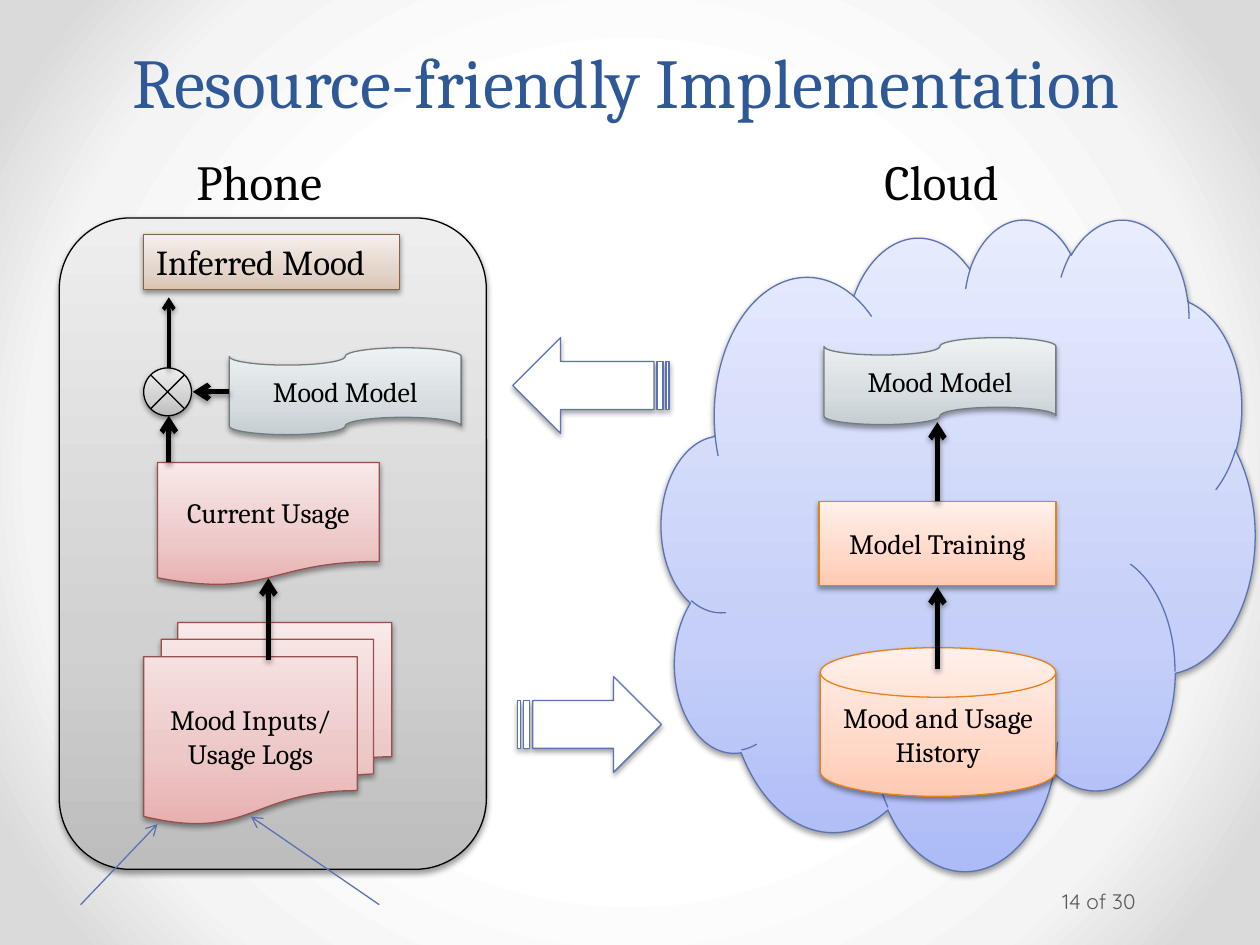
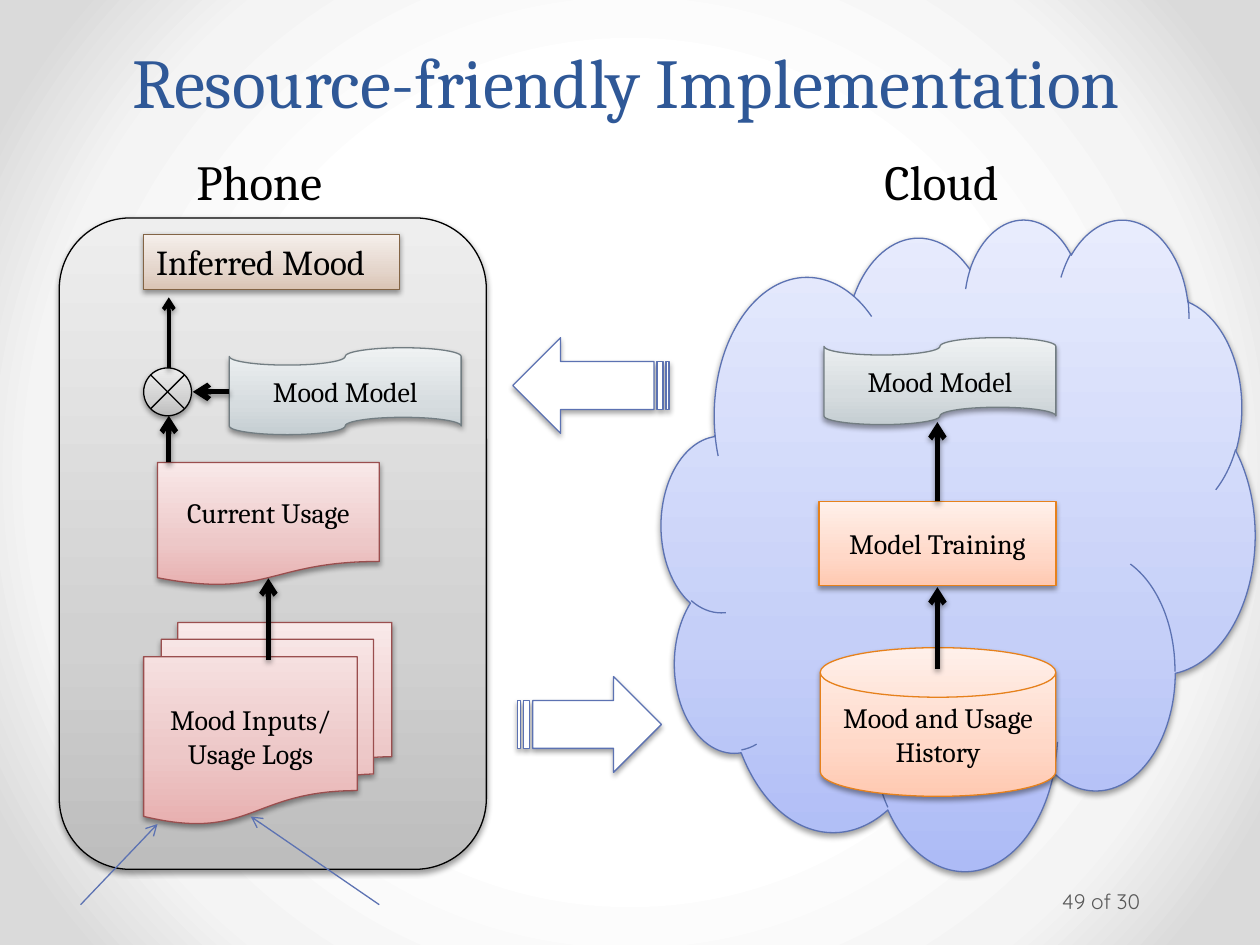
from lxml import etree
from pptx import Presentation
from pptx.dml.color import RGBColor
from pptx.enum.shapes import MSO_CONNECTOR, MSO_SHAPE
from pptx.enum.text import MSO_ANCHOR, MSO_AUTO_SIZE, PP_ALIGN
from pptx.oxml.ns import qn
from pptx.util import Inches, Pt

LEFT, CENTER = PP_ALIGN.LEFT, PP_ALIGN.CENTER
TOP, MIDDLE, BOTTOM = MSO_ANCHOR.TOP, MSO_ANCHOR.MIDDLE, MSO_ANCHOR.BOTTOM

BODY_FONT, NUMBER_FONT = "Cambria", "Quicksand"
COLORS = {
    "black": "000000",
    "white": "FFFFFF",
    "title": "2F5897",
    "number": "595959",
    "blue": "5C72B2",
}
# Each theme: outline colour, then gradient colours from bottom to top
THEMES = {
    "cloud": ("5C72B2", "ADBBF6", "C5CFF8", "E8ECFD"),
    "phone": ("000000", "BDBDBD", "D1D1D1", "EEEEEE"),
    "usage": ("9A4E4E", "E8B0B0", "EDC8C8", "F9E9E9"),
    "training": ("E6811C", "FFC9B1", "FFD8C8", "FFF0EA"),
    "model": ("727D82", "C5CED2", "D6DCDF", "EFF2F3"),
    "mood": ("836445", "DAC4B4", "E4D5CB", "F5EFEB"),
}
THEME_STOPS = (0, 35, 100)
BACKDROP = [(50, "FFFFFF"), (76, "F4F4F4"), (92, "DADADA")]

TITLE = "Resource-friendly Implementation"
PAGE_NUMBERS = ["14 of 30", "49 of 30"]
HEADINGS = [("Phone", 1.46, 1.28), ("Cloud", 6.92, 1.16)]

# Preset, theme, (left, top, width, height), text
NODES = [
    (MSO_SHAPE.CLOUD, "cloud", (5.25, 1.73, 4.71, 5.17), ""),
    (MSO_SHAPE.ROUNDED_RECTANGLE, "phone", (0.47, 1.73, 3.39, 5.17), ""),
    (MSO_SHAPE.FLOWCHART_MULTIDOCUMENT, "usage", (1.14, 4.94, 1.97, 1.6),
     "Mood Inputs/\nUsage Logs"),
    (MSO_SHAPE.FLOWCHART_MAGNETIC_DISK, "training", (6.51, 5.14, 1.87, 1.18),
     "Mood and Usage History"),
    (MSO_SHAPE.FLOWCHART_PUNCHED_TAPE, "model", (6.54, 2.68, 1.84, 0.69), "Mood Model"),
    (MSO_SHAPE.FLOWCHART_PUNCHED_TAPE, "model", (1.82, 2.76, 1.84, 0.69), "Mood Model"),
    (MSO_SHAPE.FLOWCHART_SUMMING_JUNCTION, "phone", (1.14, 2.92, 0.38, 0.38), ""),
    (MSO_SHAPE.FLOWCHART_DOCUMENT, "usage", (1.25, 3.67, 1.76, 0.98), "Current Usage"),
    (MSO_SHAPE.FLOWCHART_PROCESS, "training", (6.5, 3.98, 1.88, 0.67), "Model Training"),
]
INFERRED_MOOD = ("Inferred Mood", (1.14, 1.86, 2.03, 0.44))

# (left, top, width, height), points left
TRANSFERS = [((4.11, 5.37, 1.14, 0.76), False), ((4.07, 2.68, 1.24, 0.76), True)]

# Start, end, width in points
FLOWS = [
    ((2.13, 5.24), (2.13, 4.59), 3),
    ((1.34, 3.67), (1.34, 3.3), 3),
    ((1.82, 3.11), (1.53, 3.11), 3),
    ((7.44, 5.31), (7.44, 4.66), 3),
    ((7.44, 3.98), (7.44, 3.35), 3),
    ((1.34, 2.92), (1.34, 2.36), 2.25),
]
POINTERS = [((0.64, 7.18), (1.25, 6.54)), ((3.01, 7.18), (1.99, 6.48))]


def add_xml(parent, tag, **attributes):
    values = {name: str(value) for name, value in attributes.items()}
    return etree.SubElement(parent, qn(tag), values)


def set_gradient(fill, properties, stops, radial=False):
    """Give the fill held in properties a list of (percent, colour) stops."""
    fill.gradient()
    gradient = properties.find(qn("a:gradFill"))
    for child in list(gradient):
        gradient.remove(child)
    stop_list = add_xml(gradient, "a:gsLst")
    for percent, color in stops:
        stop = add_xml(stop_list, "a:gs", pos=percent * 1000)
        add_xml(stop, "a:srgbClr", val=color)
    if radial:
        shade = add_xml(gradient, "a:path", path="circle")
        add_xml(shade, "a:fillToRect", l=50000, t=50000, r=50000, b=50000)
    else:
        add_xml(gradient, "a:lin", ang=270 * 60000, scaled=0)


def add_shadow(effects, alpha=38, distance=1.6):
    shadow = add_xml(effects, "a:outerShdw", blurRad=Pt(3.1), dist=Pt(distance),
                     dir=90 * 60000, rotWithShape=0)
    color = add_xml(shadow, "a:srgbClr", val=COLORS["black"])
    add_xml(color, "a:alpha", val=alpha * 1000)


def write(shape, text, size=16, color="black", font=BODY_FONT, align=CENTER,
          anchor=MIDDLE, wrap=True, grow=False, spacing=None):
    frame = shape.text_frame
    frame.text = text
    frame.word_wrap = wrap
    frame.auto_size = MSO_AUTO_SIZE.SHAPE_TO_FIT_TEXT if grow else MSO_AUTO_SIZE.NONE
    frame.vertical_anchor = anchor
    for para in frame.paragraphs:
        para.alignment = align
        if spacing:
            para.line_spacing = Pt(spacing)
        for span in para.runs:
            span.font.size = Pt(size)
            span.font.name = font
            span.font.color.rgb = RGBColor.from_string(COLORS[color])


def add_shape(page, preset, bounds, outline):
    shape = page.shapes.add_shape(preset, *map(Inches, bounds))
    shape.line.color.rgb = RGBColor.from_string(outline)
    shape.line.width = Pt(0.75)
    shape.shadow.inherit = False
    return shape


def add_node(page, preset, theme, bounds):
    outline, *shades = THEMES[theme]
    shape = add_shape(page, preset, bounds, outline)
    properties = shape.element.spPr
    set_gradient(shape.fill, properties, zip(THEME_STOPS, shades))
    add_shadow(properties.find(qn("a:effectLst")))
    return shape


def add_transfer(page, bounds, points_left):
    """Add a striped block arrow between phone and cloud."""
    shape = add_shape(page, MSO_SHAPE.STRIPED_RIGHT_ARROW, bounds, COLORS["blue"])
    shape.fill.solid()
    shape.fill.fore_color.rgb = RGBColor.from_string(COLORS["white"])
    properties = shape.element.spPr
    add_shadow(properties.find(qn("a:effectLst")), alpha=35, distance=1.8)
    if points_left:
        properties.find(qn("a:xfrm")).set("flipH", "1")


def add_arrow(page, start, end, width=0.75, color="black", shadow=True):
    arrow = page.shapes.add_connector(MSO_CONNECTOR.STRAIGHT, *map(Inches, start + end))
    arrow.line.color.rgb = RGBColor.from_string(COLORS[color])
    arrow.line.width = Pt(width)
    properties = arrow.element.spPr
    add_xml(properties.find(qn("a:ln")), "a:tailEnd", type="arrow")
    effects = add_xml(properties, "a:effectLst")
    if shadow:
        add_shadow(effects)


def add_box(page, bounds):
    return page.shapes.add_textbox(*map(Inches, bounds))


def add_title(page):
    title = page.shapes.title
    title.left, title.top, title.width, title.height = map(Inches, (0.47, 0.26, 9, 0.76))
    write(title, TITLE, size=40, color="title", anchor=BOTTOM, spacing=58)


def add_page_number(page, text):
    box = add_box(page, (8.4, 6.95, 1.22, 0.4))
    write(box, text, size=12, color="number", font=NUMBER_FONT, align=LEFT)
    box.text_frame.margin_left = Inches(0.03)
    box.text_frame.margin_right = Inches(0.05)


def build_page(deck, page_number):
    page = deck.slides.add_slide(deck.slide_layouts.get_by_name("Title Only"))
    add_title(page)
    for preset, theme, bounds, text in NODES:
        shape = add_node(page, preset, theme, bounds)
        if text:
            write(shape, text)
    for text, left, width in HEADINGS:
        write(add_box(page, (left, 1.15, width, 0.57)), text, size=28,
              align=LEFT, anchor=TOP, wrap=False, grow=True)
    for bounds, points_left in TRANSFERS:
        add_transfer(page, bounds, points_left)
    for start, end, width in FLOWS:
        add_arrow(page, start, end, width)
    text, bounds = INFERRED_MOOD
    write(add_node(page, MSO_SHAPE.RECTANGLE, "mood", bounds), text, size=20,
          align=LEFT, anchor=TOP, wrap=False, grow=True)
    add_page_number(page, page_number)
    for start, end in POINTERS:
        add_arrow(page, start, end, color="blue", shadow=False)


def main():
    deck = Presentation()
    deck.slide_width, deck.slide_height = Inches(10), Inches(7.5)
    master = deck.slide_master
    fill = master.background.fill
    properties = master.element.find(".//" + qn("p:bgPr"))
    set_gradient(fill, properties, BACKDROP, radial=True)
    for page_number in PAGE_NUMBERS:
        build_page(deck, page_number)
    deck.save("out.pptx")


if __name__ == "__main__":
    main()
